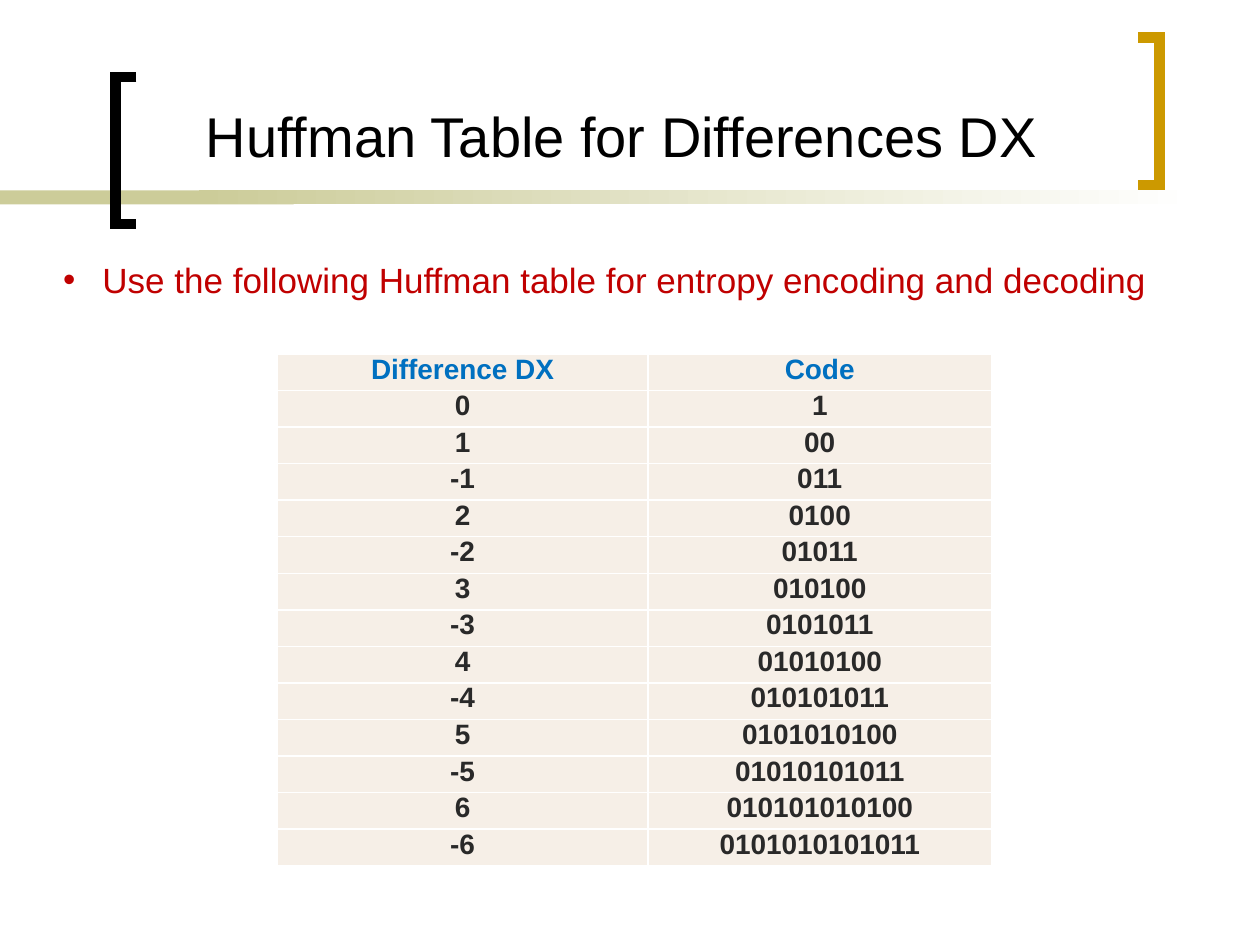
from lxml import etree
from pptx import Presentation
from pptx import util as u
from pptx.dml.color import RGBColor
from pptx.enum import shapes, text
from pptx.oxml.ns import qn

# Content
HEADING = "Huffman Table for Differences DX"
INSTRUCTION = "Use the following Huffman table for entropy encoding and decoding"
HUFFMAN = [
    ("Difference DX", "Code"),
    ("0", "1"),
    ("1", "00"),
    ("-1", "011"),
    ("2", "0100"),
    ("-2", "01011"),
    ("3", "010100"),
    ("-3", "0101011"),
    ("4", "01010100"),
    ("-4", "010101011"),
    ("5", "0101010100"),
    ("-5", "01010101011"),
    ("6", "010101010100"),
    ("-6", "0101010101011"),
]
COLORS = {
    "black": "000000", "white": "FFFFFF", "olive": "CCCC99", "gold": "CC9900",
    "red": "C00000", "blue": "0070C0", "dark": "292929", "cream": "F6EFE7",
}
FONT = "Arial"

# Layout, in cm
BAND_TOP, BAND_HEIGHT = 3.84, 0.28
BRACKET_HEIGHT = 2.97
COLUMN_WIDTHS = (7.47, 6.93)
TABLE_LEFT, TABLE_TOP, TABLE_HEIGHT = 5.59, 7.14, 10.31


def rgb(name):
    return RGBColor.from_string(COLORS[name])


def place(shape, left, top, width, height):
    shape.left, shape.top = u.Cm(left), u.Cm(top)
    shape.width, shape.height = u.Cm(width), u.Cm(height)


def write(paragraph, words, size, color, bold=False):
    run = paragraph.add_run()
    run.text = words
    run.font.name, run.font.size, run.font.bold = FONT, u.Pt(size), bold
    run.font.color.rgb = rgb(color)


def add_band(slide, left, width):
    band = slide.shapes.add_shape(
        shapes.MSO_SHAPE.RECTANGLE,
        u.Cm(left), u.Cm(BAND_TOP), u.Cm(width), u.Cm(BAND_HEIGHT))
    band.shadow.inherit = False
    band.line.fill.background()
    return band


def add_bracket(slide, tip, spine, top, color):
    bottom = top + BRACKET_HEIGHT
    builder = slide.shapes.build_freeform(u.Cm(tip), u.Cm(top))
    corners = [(spine, top), (spine, bottom), (tip, bottom)]
    builder.add_line_segments([(u.Cm(x), u.Cm(y)) for x, y in corners], close=False)
    bracket = builder.convert_to_shape()
    bracket.shadow.inherit = False
    bracket.fill.background()
    bracket.line.color.rgb = rgb(color)
    bracket.line.width = u.Pt(6)
    etree.SubElement(bracket.line._get_or_add_ln(), qn("a:miter"), lim="800000")


def add_borders(cell):
    properties = cell._tc.get_or_add_tcPr()
    for side in ("lnL", "lnR", "lnT", "lnB"):
        border = etree.SubElement(properties, qn(f"a:{side}"), w=str(u.Pt(1)))
        fill = etree.SubElement(border, qn("a:solidFill"))
        etree.SubElement(fill, qn("a:srgbClr"), val=COLORS["white"])


def add_huffman_table(slide):
    frame = slide.shapes.add_table(
        len(HUFFMAN), len(COLUMN_WIDTHS), u.Cm(TABLE_LEFT), u.Cm(TABLE_TOP),
        u.Cm(sum(COLUMN_WIDTHS)), u.Cm(TABLE_HEIGHT))
    table = frame.table
    for column, width in zip(table.columns, COLUMN_WIDTHS):
        column.width = u.Cm(width)
    for r, entries in enumerate(HUFFMAN):
        table.rows[r].height = u.Cm(TABLE_HEIGHT) // len(HUFFMAN)
        for c, entry in enumerate(entries):
            cell = table.cell(r, c)
            cell.margin_left = cell.margin_right = u.Cm(0.18)
            cell.margin_top = cell.margin_bottom = 0
            add_borders(cell)
            cell.fill.solid()
            cell.fill.fore_color.rgb = rgb("cream")
            paragraph = cell.text_frame.paragraphs[0]
            paragraph.alignment = text.PP_ALIGN.CENTER
            write(paragraph, entry, 16, "dark" if r else "blue", bold=True)


def main():
    prs = Presentation()
    prs.slide_width, prs.slide_height = u.Cm(25.4), u.Cm(19.05)
    slide = prs.slides.add_slide(prs.slide_layouts[1])

    # Band: solid start, then fading to white
    solid = add_band(slide, 0, 5.92)
    solid.fill.solid()
    solid.fill.fore_color.rgb = rgb("olive")
    fading = add_band(slide, 4.01, 20.12)
    fading.fill.gradient()
    fading.fill.gradient_angle = 0
    for stop, color in zip(fading.fill.gradient_stops, ("olive", "white")):
        stop.color.rgb = rgb(color)

    # Brackets around the title
    add_bracket(slide, 2.75, 2.33, 1.55, "black")
    add_bracket(slide, 22.95, 23.37, 0.76, "gold")

    # Title
    title = slide.shapes.title
    place(title, 2.59, 1.42, 19.89, 2.11)
    title.text_frame.vertical_anchor = text.MSO_ANCHOR.BOTTOM
    title.text_frame.auto_size = text.MSO_AUTO_SIZE.NONE
    heading = title.text_frame.paragraphs[0]
    heading.alignment = text.PP_ALIGN.CENTER
    write(heading, HEADING, 32, "black")

    # Bulleted instruction
    body = slide.placeholders[1]
    place(body, 1.02, 5.08, 22.5, 1.12)
    body.text_frame.auto_size = text.MSO_AUTO_SIZE.NONE
    instruction = body.text_frame.paragraphs[0]
    instruction.space_before = u.Pt(0)
    write(instruction, INSTRUCTION, 20, "red")
    bullet = instruction._p.get_or_add_pPr()
    bullet.set("marL", str(u.Cm(0.79)))
    bullet.set("indent", str(-u.Cm(0.79)))
    etree.SubElement(bullet, qn("a:buFont"), typeface=FONT)
    etree.SubElement(bullet, qn("a:buChar"), char="•")

    add_huffman_table(slide)
    prs.save("out.pptx")


if __name__ == "__main__":
    main()
